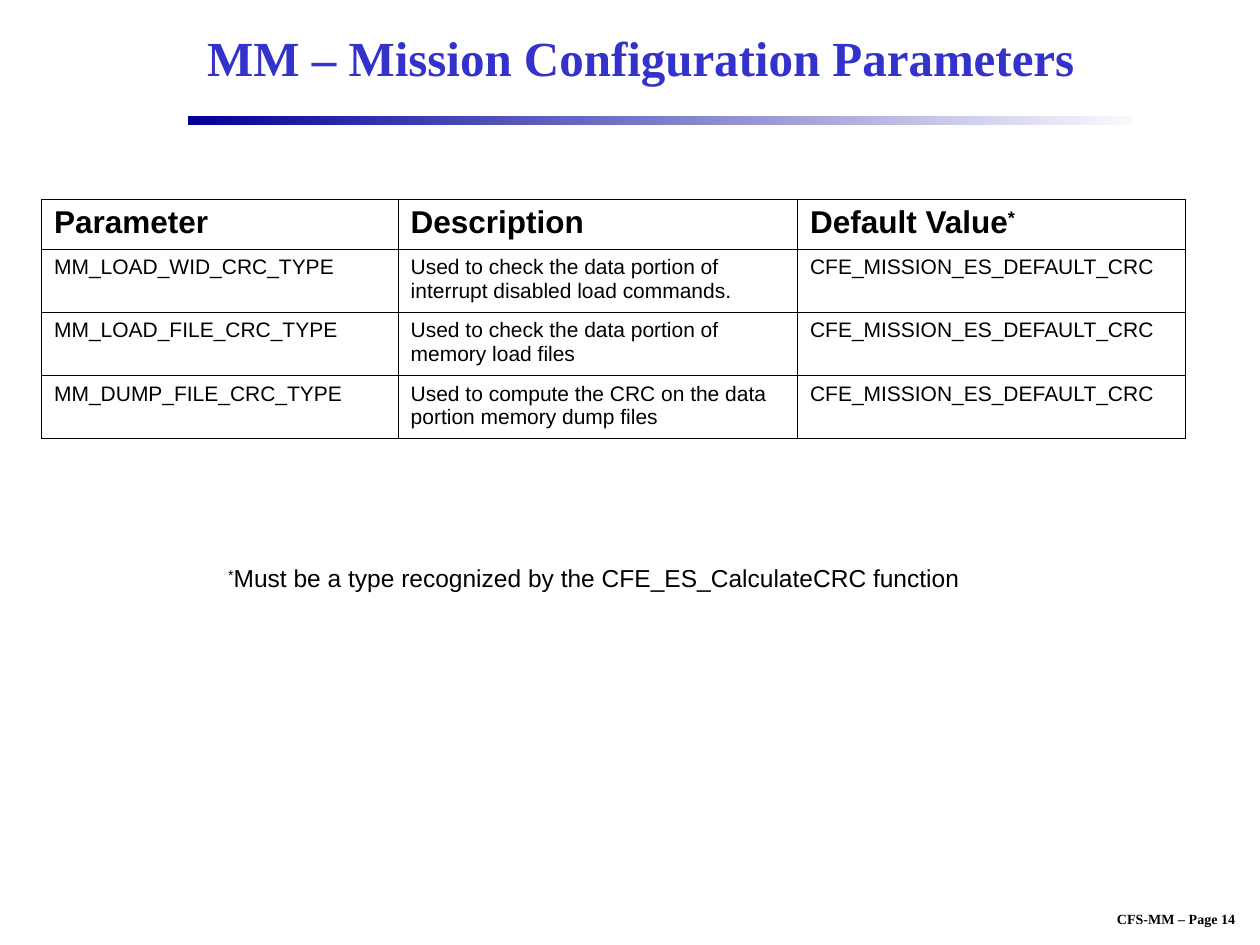
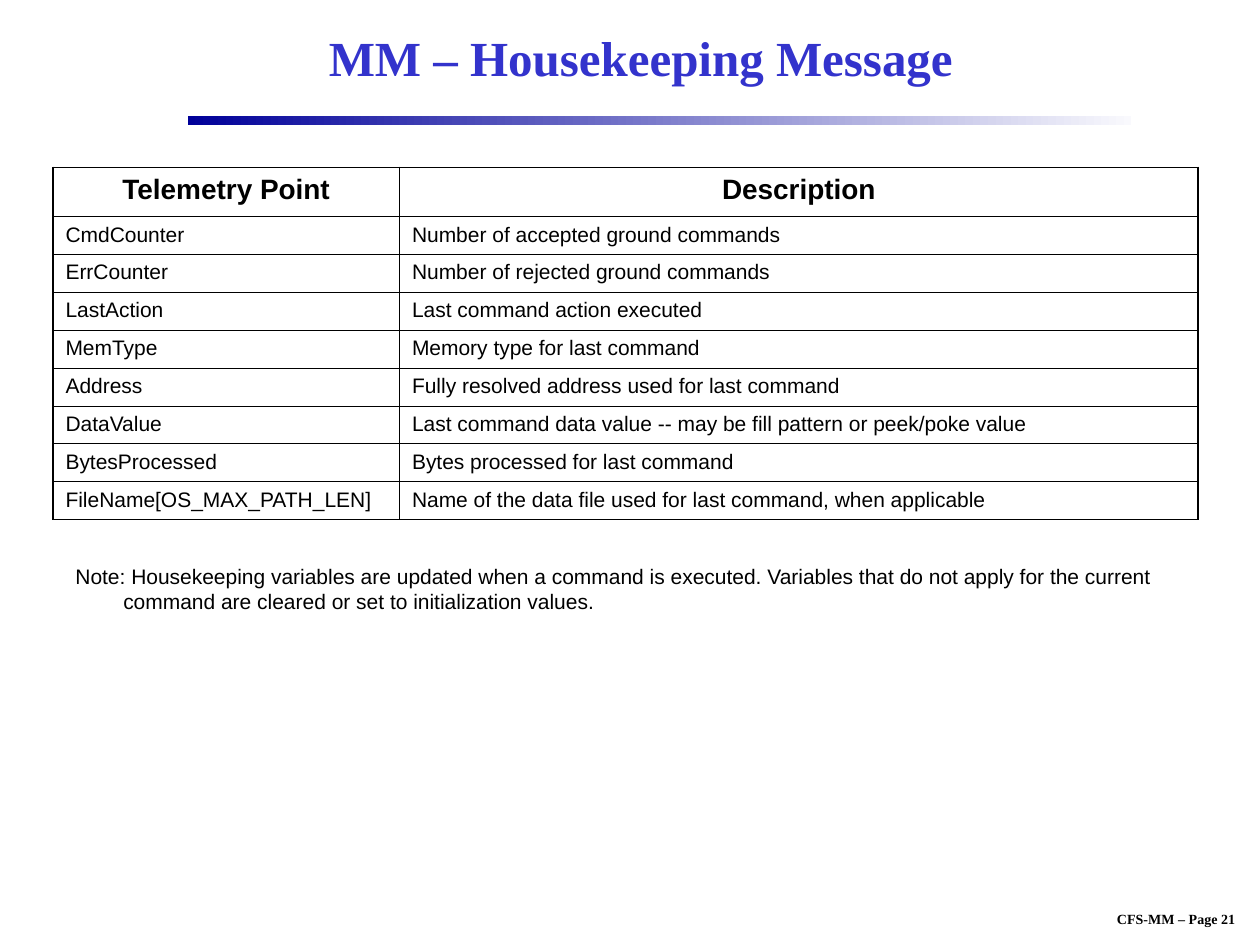
"""Build two slides of parameter and telemetry tables in one shared style."""
import dataclasses
import itertools

import lxml.etree
import pptx
import pptx.dml.color
import pptx.enum.shapes
import pptx.enum.text
import pptx.oxml.ns
import pptx.util

Pt = pptx.util.Pt
Rgb = pptx.dml.color.RGBColor.from_string
Qn = pptx.oxml.ns.qn
Align = pptx.enum.text.PP_ALIGN
Fit = pptx.enum.text.MSO_AUTO_SIZE
Anchor = pptx.enum.text.MSO_ANCHOR


@dataclasses.dataclass(frozen=True)
class Theme:
    """Colours, fonts, type sizes and line widths."""
    ink: str = "000000"
    blue: str = "3333CC"
    fade: tuple = ("000099", "F9F9FD")
    serif: str = "Times New Roman"
    sans: str = "Arial"
    title: int = 28
    body: int = 12
    foot: int = 8
    thin: float = 0.45
    thick: float = 1.08


THEME = Theme()
SIZE = (720, 540)
TITLE = (108, 5.76, 516.24, 54)
BAND = (107.28, 66.24, 539.28, 5.04)
FOOT = (617.04, 516.96, 110.16, 16.56)
CRC = "CFE_MISSION_ES_DEFAULT_CRC"

SLIDES = [
    {
        "title": "MM – Mission Configuration Parameters",
        "page": 14,
        "spot": (23.76, 113.76),
        "cols": (203.76, 228.24, 221.76),
        "rows": (28.8, 36),
        "edge": THEME.thin,
        "head": {"size": 18, "align": Align.LEFT},
        "cells": [
            ("Parameter", "Description", "Default Value*"),
            ("MM_LOAD_WID_CRC_TYPE",
             "Used to check the data portion of interrupt disabled load commands.", CRC),
            ("MM_LOAD_FILE_CRC_TYPE",
             "Used to check the data portion of memory load files", CRC),
            ("MM_DUMP_FILE_CRC_TYPE",
             "Used to compute the CRC on the data portion memory dump files", CRC),
        ],
        "note": "*Must be a type recognized by the CFE_ES_CalculateCRC function",
        "box": (123.12, 318.24, 432.72, 24.48),
        "style": {"size": 14, "align": Align.CENTER},
        "wrap": False,
        "hang": 0,
    },
    {
        "title": "MM – Housekeeping Message",
        "page": 21,
        "spot": (30.24, 95.76),
        "cols": (198, 456.48),
        "rows": (28.08, 21.6),
        "edge": THEME.thick,
        "head": {"size": 16, "align": Align.CENTER},
        "cells": [
            ("Telemetry Point", "Description"),
            ("CmdCounter", "Number of accepted ground commands"),
            ("ErrCounter", "Number of rejected ground commands"),
            ("LastAction", "Last command action executed"),
            ("MemType", "Memory type for last command"),
            ("Address", "Fully resolved address used for last command"),
            ("DataValue", "Last command data value -- may be fill pattern or peek/poke value"),
            ("BytesProcessed", "Bytes processed for last command"),
            ("FileName[OS_MAX_PATH_LEN]",
             "Name of the data file used for last command, when applicable"),
        ],
        "note": "Note: Housekeeping variables are updated when a command is executed. "
                "Variables that do not apply for the current command are cleared "
                "or set to initialization values.",
        "box": (36, 318.24, 639.36, 54),
        "style": {"size": THEME.body},
        "wrap": True,
        "hang": 27.36,
    },
]


def points(values):
    """Turn plain numbers into lengths."""
    return [Pt(value) for value in values]


def write(frame, text, size, align=Align.LEFT, name=THEME.sans, bold=False, tint=THEME.ink):
    """Fill a text frame with one paragraph, raising each asterisk."""
    para = frame.paragraphs[0]
    para.alignment = align
    for star, group in itertools.groupby(text, lambda sign: sign == "*"):
        run = para.add_run()
        run.text = "".join(group)
        for key, value in {"size": Pt(size), "name": name, "bold": bold}.items():
            setattr(run.font, key, value)
        run.font.color.rgb = Rgb(tint)
        if star:
            run._r.get_or_add_rPr().set("baseline", "30000")
    return para


def label(slide, box, text, wrap=False, **style):
    """Add a text box and return its paragraph."""
    frame = slide.shapes.add_textbox(*points(box)).text_frame
    frame.word_wrap = wrap
    frame.auto_size = Fit.NONE if wrap else Fit.SHAPE_TO_FIT_TEXT
    return write(frame, text, **style)


def frame_slide(slide, title, page):
    """Add the footer, gradient band and title."""
    label(slide, FOOT, f"CFS-MM – Page {page}", size=THEME.foot,
          align=Align.CENTER, name=THEME.serif, bold=True)
    band = slide.shapes.add_shape(pptx.enum.shapes.MSO_SHAPE.RECTANGLE, *points(BAND))
    band.shadow.inherit = False
    band.line.fill.background()
    band.fill.gradient()
    band.fill.gradient_angle = 0
    for stop, tint in zip(band.fill.gradient_stops, THEME.fade):
        stop.color.rgb = Rgb(tint)
    head = slide.shapes.title
    for key, value in zip(("left", "top", "width", "height"), points(TITLE)):
        setattr(head, key, value)
    form = {"word_wrap": True, "auto_size": Fit.NONE, "vertical_anchor": Anchor.MIDDLE}
    for key, value in form.items():
        setattr(head.text_frame, key, value)
    write(head.text_frame, title, THEME.title, Align.CENTER, THEME.serif, True, THEME.blue)


def rule(cell, sides):
    """Draw the borders of a cell from a dict of side and width."""
    props = cell._tc.get_or_add_tcPr()
    for side, width in sides.items():
        line = lxml.etree.SubElement(props, Qn(f"a:ln{side}"), w=str(Pt(width)))
        fill = lxml.etree.SubElement(line, Qn("a:solidFill"))
        lxml.etree.SubElement(fill, Qn("a:srgbClr"), val=THEME.ink)


def add_grid(slide, data):
    """Add the table with a heading row and equal body rows."""
    cells, cols = data["cells"], data["cols"]
    first, rest = data["rows"]
    highs = [first] + [rest] * (len(cells) - 1)
    area = points((*data["spot"], sum(cols), sum(highs)))
    table = slide.shapes.add_table(len(cells), len(cols), *area).table
    table.first_row = table.horz_banding = False
    for col, wide in zip(table.columns, cols):
        col.width = Pt(wide)
    for row, high in zip(table.rows, highs):
        row.height = Pt(high)
    for r, texts in enumerate(cells):
        style = {"size": THEME.body} if r else {"bold": True, **data["head"]}
        for c, text in enumerate(texts):
            cell = table.cell(r, c)
            write(cell.text_frame, text, **style)
            outer = {"L": c == 0, "R": c == len(cols) - 1,
                     "T": r == 0, "B": r == len(cells) - 1}
            rule(cell, {side: data["edge"] if out else THEME.thin
                        for side, out in outer.items()})
            cell.fill.background()


def main():
    """Build and save both slides."""
    deck = pptx.Presentation()
    deck.slide_width, deck.slide_height = points(SIZE)
    for data in SLIDES:
        slide = deck.slides.add_slide(deck.slide_layouts.get_by_name("Title Only"))
        frame_slide(slide, data["title"], data["page"])
        add_grid(slide, data)
        para = label(slide, data["box"], data["note"], data["wrap"], **data["style"])
        if data["hang"]:
            props = para._p.get_or_add_pPr()
            props.set("marL", str(Pt(data["hang"])))
            props.set("indent", str(-Pt(data["hang"])))
    deck.save("out.pptx")


if __name__ == "__main__":
    main()
